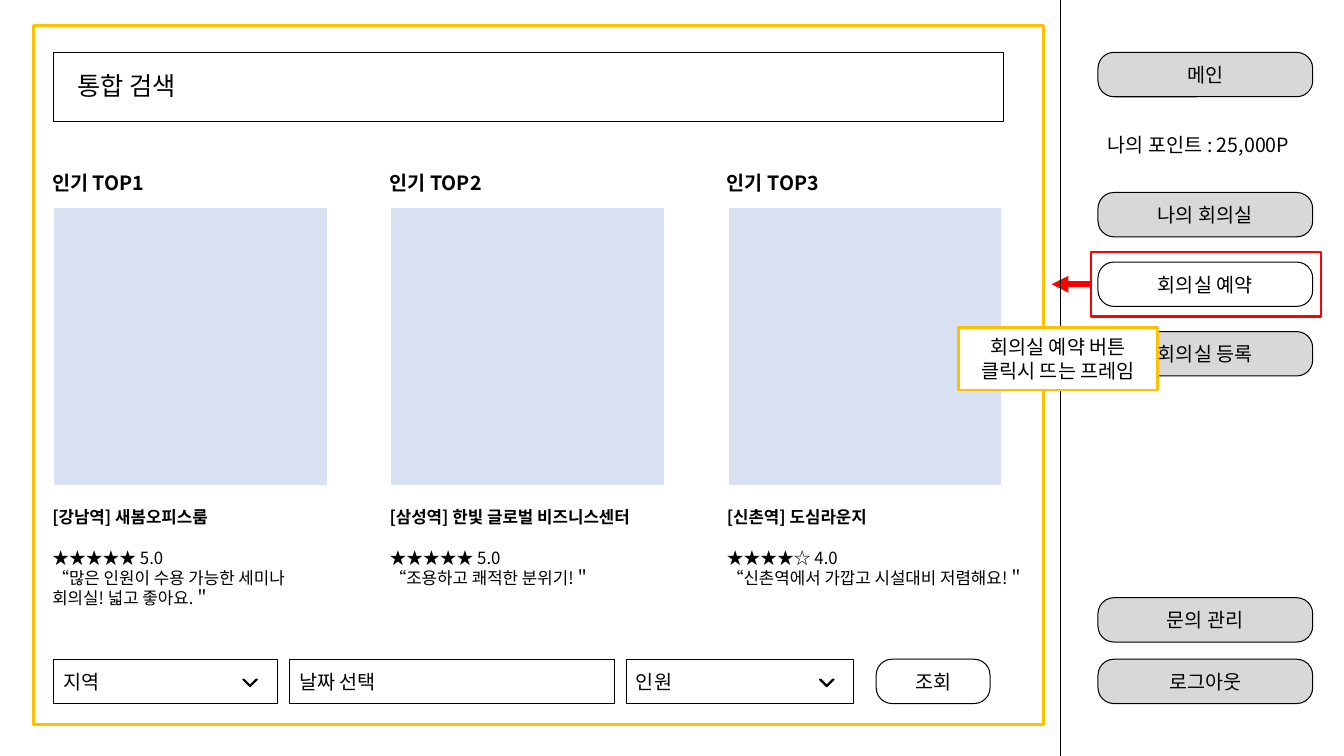
from dataclasses import dataclass

from pptx import Presentation
from pptx.dml.color import RGBColor
from pptx.enum.shapes import MSO_CONNECTOR, MSO_SHAPE
from pptx.enum.text import MSO_ANCHOR, PP_ALIGN
from pptx.oxml.ns import qn
from pptx.util import Inches, Pt

RECT, ROUND = MSO_SHAPE.RECTANGLE, MSO_SHAPE.ROUNDED_RECTANGLE
HALF = MSO_SHAPE.HALF_FRAME
LINE = MSO_CONNECTOR.STRAIGHT
LEFT, CENTER = PP_ALIGN.LEFT, PP_ALIGN.CENTER
TOP, MIDDLE = MSO_ANCHOR.TOP, MSO_ANCHOR.MIDDLE


@dataclass(frozen=True)
class Theme:
    font: str = "Noto Sans CJK KR"
    ink: str = "000000"
    white: str = "FFFFFF"
    grey: str = "D8D8D8"
    blue: str = "D8E2F3"
    red: str = "FF0000"
    gold: str = "FFC000"
    large: int = 18
    body: int = 14
    small: int = 12
    thin: float = 0.75


T = Theme()
ROW = 0.44  # height of buttons and fields
RADIUS = 0.36

CARDS = [
    ("[강남역] 새봄오피스룸", "★★★★★ 5.0",
     "“많은 인원이 수용 가능한 세미나", "회의실! 넓고 좋아요.＂"),
    ("[삼성역] 한빛 글로벌 비즈니스센터", "★★★★★ 5.0",
     "“조용하고 쾌적한 분위기!＂"),
    ("[신촌역] 도심라운지", "★★★★☆ 4.0",
     "“신촌역에서 가깝고 시설대비 저렴해요!＂"),
]


def color(code):
    return RGBColor.from_string(code)


def write(shape, lines, size=T.body, bold=(), align=LEFT, anchor=TOP, gaps=None):
    """Fill a shape with lines; bold holds line numbers, gaps maps them to space before."""
    frame = shape.text_frame
    frame.word_wrap = True
    frame.vertical_anchor = anchor
    for i, line in enumerate(lines):
        para = frame.paragraphs[0] if i == 0 else frame.add_paragraph()
        para.alignment = align
        if gaps and i in gaps:
            para.space_before = Pt(gaps[i])
        run = para.add_run()
        run.text = line
        font = run.font
        font.name, font.size, font.bold = T.font, Pt(size), i in bold
        font.color.rgb = color(T.ink)
        east = run._r.get_or_add_rPr().makeelement(qn("a:ea"), {"typeface": T.font})
        run._r.rPr.find(qn("a:latin")).addnext(east)


def label(slide, x, y, w, h, lines, **form):
    box = slide.shapes.add_textbox(Inches(x), Inches(y), Inches(w), Inches(h))
    write(box, lines, **form)


def block(slide, kind, x, y, w, h, fill=None, edge=T.ink, width=T.thin):
    shape = slide.shapes.add_shape(kind, Inches(x), Inches(y), Inches(w), Inches(h))
    shape.shadow.inherit = False
    if fill:
        shape.fill.solid()
        shape.fill.fore_color.rgb = color(fill)
    else:
        shape.fill.background()
    shape.line.color.rgb = color(edge)
    shape.line.width = Pt(width)
    return shape


def rule(slide, x1, y1, x2, y2, edge=T.ink, width=T.thin, arrow=False):
    line = slide.shapes.add_connector(LINE, Inches(x1), Inches(y1), Inches(x2), Inches(y2))
    line.line.color.rgb = color(edge)
    line.line.width = Pt(width)
    if arrow:
        stroke = line.line._get_or_add_ln()
        stroke.append(stroke.makeelement(qn("a:tailEnd"), {"type": "triangle"}))
    props = line._element.spPr
    props.append(props.makeelement(qn("a:effectLst"), {}))


def button(slide, x, y, w, text, fill=T.grey):
    shape = block(slide, ROUND, x, y, w, ROW, fill)
    shape.adjustments[0] = RADIUS
    write(shape, [text], align=CENTER, anchor=MIDDLE)


def field(slide, x, y, w, text, drop=False):
    """Draw an input field, with a chevron if it drops down."""
    shape = block(slide, RECT, x, y, w, ROW, T.white)
    write(shape, [text], anchor=MIDDLE)
    if drop:
        mark = block(slide, HALF, x + w - 0.32, y + 0.15, 0.1, 0.1, T.ink, width=1)
        mark.adjustments[0] = mark.adjustments[1] = 0.08
        mark.rotation = 225


def sidebar(slide, x, w):
    menu = [(0.52, "메인"), (1.91, "나의 회의실"), (2.6, "회의실 예약"),
            (3.29, "회의실 등록"), (5.93, "문의 관리"), (6.54, "로그아웃")]
    for y, text in menu:
        button(slide, x, y, w, text, T.white if text == "회의실 예약" else T.grey)
    label(slide, x, 1.27, w + 0.3, 0.34, ["나의 포인트 : 25,000P"])
    block(slide, RECT, x - 0.07, 2.5, w + 0.15, 0.64, edge=T.red, width=1.5)
    rule(slide, x - 0.07, 2.82, x - 0.46, 2.82, T.red, 4, arrow=True)
    rule(slide, x - 0.37, 0, x - 0.37, 7.5)


def search(slide, x, y, w):
    block(slide, RECT, x, y, w, 0.69, T.white)
    label(slide, x + 0.14, y + 0.13, 1.3, 0.4, ["통합 검색"], size=T.large)


def card(slide, x, y, rank, lines):
    label(slide, x - 0.11, y, 1.55, 0.34, [f"인기 TOP{rank}"], bold=(0,))
    block(slide, RECT, x, y + 0.41, 2.72, 2.76, T.blue, T.white, 1)
    label(slide, x - 0.11, y + 3.33, 3.41, 1.11, lines,
          size=T.small, bold=(0,), gaps={1: 14.4})


def filters(slide, x, y):
    field(slide, x, y, 2.22, "지역", drop=True)
    field(slide, x + 2.34, y, 3.23, "날짜 선택")
    field(slide, x + 5.68, y, 2.26, "인원", drop=True)
    button(slide, x + 8.16, y, 1.13, "조회", T.white)


def callout(slide, x, y, w, h):
    shape = block(slide, RECT, x, y, w, h, T.white, T.gold, 2)
    write(shape, ["회의실 예약 버튼", "클릭시 뜨는 프레임"], align=CENTER, anchor=MIDDLE)


def main():
    deck = Presentation()
    deck.slide_width, deck.slide_height = Inches(13.33), Inches(7.5)
    slide = deck.slides.add_slide(deck.slide_layouts[6])
    left = 0.53
    sidebar(slide, 10.89, 2.13)
    search(slide, left, 0.52, 9.42)
    filters(slide, left, 6.54)
    for i, lines in enumerate(CARDS):
        card(slide, left + i * 3.345, 1.65, i + 1, lines)
    block(slide, RECT, 0.33, 0.25, 10.02, 6.94, edge=T.gold, width=2)
    callout(slide, 9.51, 3.25, 1.97, 0.62)
    deck.save("out.pptx")


if __name__ == "__main__":
    main()
